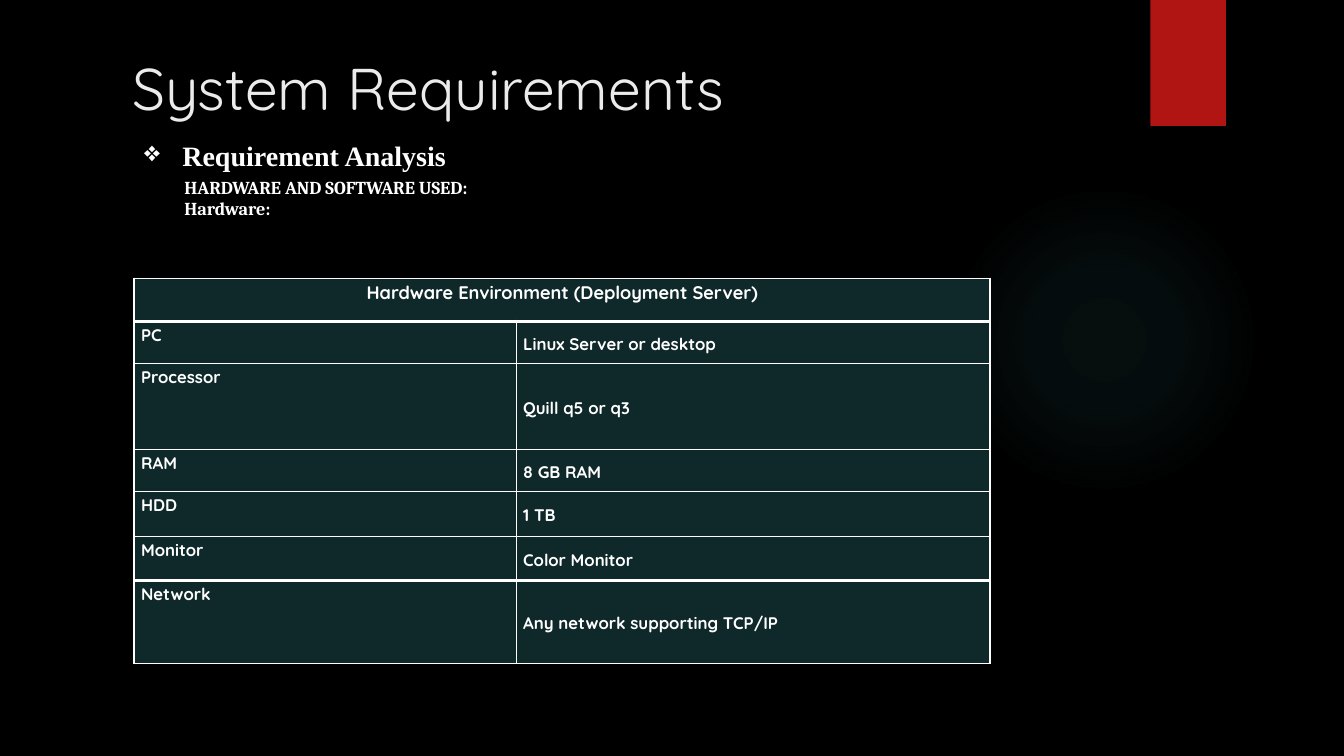
import pptx
import pptx.util
import pptx.dml.color
import pptx.enum.shapes
import pptx.enum.text
import pptx.oxml
import pptx.oxml.ns
from pptx.util import Inches

PP_ALIGN = pptx.enum.text.PP_ALIGN
ANCHOR = pptx.enum.text.MSO_ANCHOR
SHAPE = pptx.enum.shapes.MSO_SHAPE
NAMESPACE = pptx.oxml.ns.nsdecls("a")
WHITE = "FFFFFF"
CELL_FILL = "0F282A"

HEADER = "Hardware Environment (Deployment Server)"
HARDWARE = [
    ("PC", "Linux Server or desktop"),
    ("Processor", "Quill q5 or q3"),
    ("RAM", "8 GB RAM"),
    ("HDD", "1 TB"),
    ("Monitor", "Color Monitor"),
    ("Network", "Any network supporting TCP/IP"),
]
COLUMN_WIDTHS = [3.79, 4.7]
ROW_HEIGHTS = [0.43, 0.42, 0.85, 0.42, 0.44, 0.44, 0.82]
THICK_RULES = {1, len(HARDWARE)}  # horizontal rules counted from the table top


def color(value):
    return pptx.dml.color.RGBColor.from_string(value)


def apply(target, formats):
    for name, value in formats.items():
        setattr(target, name, value)


def set_insets(frame, left, top, right, bottom):
    apply(frame, {"margin_left": Inches(left), "margin_top": Inches(top),
                  "margin_right": Inches(right), "margin_bottom": Inches(bottom)})


def write(para, text, font, size, bold=False, tint=WHITE, **formats):
    apply(para, formats)
    span = para.add_run()
    span.text = text
    apply(span.font, {"name": font, "size": pptx.util.Pt(size), "bold": bold})
    span.font.color.rgb = color(tint)


def add_plain_shape(page, kind, left, top, width, height):
    shape = page.shapes.add_shape(kind, Inches(left), Inches(top), Inches(width), Inches(height))
    shape.shadow.inherit = False
    shape.line.fill.background()
    return shape


def add_glow(page):
    """Faint round gradient that fades out towards its edge."""
    glow = add_plain_shape(page, SHAPE.OVAL, 9.41, 1.83, 3.08, 3.08)
    stops = "".join(
        f'<a:gs pos="{place * 1000}"><a:srgbClr val="50B9C1">'
        f'<a:alpha val="{alpha * 1000}"/></a:srgbClr></a:gs>'
        for place, alpha in [(0, 7), (36, 6), (69, 0)])
    gradient = pptx.oxml.parse_xml(
        f'<a:gradFill {NAMESPACE}><a:gsLst>{stops}</a:gsLst><a:path path="circle">'
        '<a:fillToRect l="50000" t="50000" r="50000" b="50000"/></a:path></a:gradFill>')
    properties = glow.fill._xPr
    properties.insert(list(properties).index(properties.find(pptx.oxml.ns.qn("a:prstGeom"))) + 1,
                      gradient)


def add_ribbon(page):
    ribbon = add_plain_shape(page, SHAPE.RECTANGLE, 11.41, 0, 0.75, 1.25)
    ribbon.fill.solid()
    ribbon.fill.fore_color.rgb = color("B01513")


def set_title(page, text):
    title = page.shapes.title
    apply(title, {"left": Inches(1.21), "top": Inches(0.46),
                  "width": Inches(9.78), "height": Inches(1.53)})
    apply(title.text_frame, {"word_wrap": True, "vertical_anchor": ANCHOR.TOP,
                             "auto_size": pptx.enum.text.MSO_AUTO_SIZE.NONE})
    write(title.text_frame.paragraphs[0], text, "Quicksand", 42, tint="EBEBEB",
          alignment=PP_ALIGN.LEFT)


def set_indent(para, left, hanging=0, bullet=None):
    properties = para._p.get_or_add_pPr()
    properties.set("marL", str(Inches(left)))
    properties.set("indent", str(-Inches(hanging)))
    if bullet:
        properties.append(pptx.oxml.parse_xml(f'<a:buChar {NAMESPACE} char="{bullet}"/>'))


def add_analysis(page):
    box = page.shapes.add_textbox(Inches(1.33), Inches(1.23), Inches(8.19), Inches(1.27))
    frame = box.text_frame
    apply(frame, {"word_wrap": True, "vertical_anchor": ANCHOR.TOP})
    set_insets(frame, 0.1, 0.14, 0.1, 0)
    heading = frame.paragraphs[0]
    set_indent(heading, 0.38, 0.38, "❖")
    write(heading, "Requirement Analysis", "Times New Roman", 20, True)
    for text, gap in [("HARDWARE AND SOFTWARE USED:", 3), ("Hardware:", 0)]:
        para = frame.add_paragraph()
        set_indent(para, 0.4)
        write(para, text, "Cambria", 13, True, space_before=pptx.util.Pt(gap))


def set_borders(cell, top, bottom):
    properties = cell._tc.get_or_add_tcPr()
    for place, (side, width) in enumerate([("L", 1), ("R", 1), ("T", top), ("B", bottom)]):
        properties.insert(place, pptx.oxml.parse_xml(
            f'<a:ln{side} {NAMESPACE} w="{pptx.util.Pt(width)}"><a:solidFill>'
            f'<a:srgbClr val="{WHITE}"/></a:solidFill></a:ln{side}>'))


def fill_cell(cell, row, text, size, anchor, alignment):
    cell.fill.solid()
    cell.fill.fore_color.rgb = color(CELL_FILL)
    cell.vertical_anchor = anchor
    set_insets(cell, 0.07, 0, 0.07, 0)
    set_borders(cell, *(3 if rule in THICK_RULES else 1 for rule in (row, row + 1)))
    if text:
        write(cell.text_frame.paragraphs[0], text, "Quicksand", size, True,
              alignment=alignment, line_spacing=1.15, space_after=pptx.util.Pt(10))


def add_hardware_table(page):
    table = page.shapes.add_table(len(ROW_HEIGHTS), len(COLUMN_WIDTHS), Inches(1.33), Inches(2.76),
                                  Inches(sum(COLUMN_WIDTHS)), Inches(sum(ROW_HEIGHTS))).table
    for column, width in zip(table.columns, COLUMN_WIDTHS):
        column.width = Inches(width)
    for row, height in zip(table.rows, ROW_HEIGHTS):
        row.height = Inches(height)
    table.cell(0, 0).merge(table.cell(0, 1))
    for column, text in enumerate([HEADER, ""]):
        fill_cell(table.cell(0, column), 0, text, 13, ANCHOR.TOP, PP_ALIGN.CENTER)
    for row, texts in enumerate(HARDWARE, 1):
        for column, (text, anchor) in enumerate(zip(texts, [ANCHOR.TOP, ANCHOR.MIDDLE])):
            fill_cell(table.cell(row, column), row, text, 12, anchor, PP_ALIGN.LEFT)


def main():
    deck = pptx.Presentation()
    apply(deck, {"slide_width": Inches(13.33), "slide_height": Inches(7.5)})
    page = deck.slides.add_slide(deck.slide_layouts[5])
    page.background.fill.solid()
    page.background.fill.fore_color.rgb = color("000000")
    add_glow(page)
    add_ribbon(page)
    set_title(page, "System Requirements")
    add_hardware_table(page)
    add_analysis(page)
    deck.save("out.pptx")


if __name__ == "__main__":
    main()
